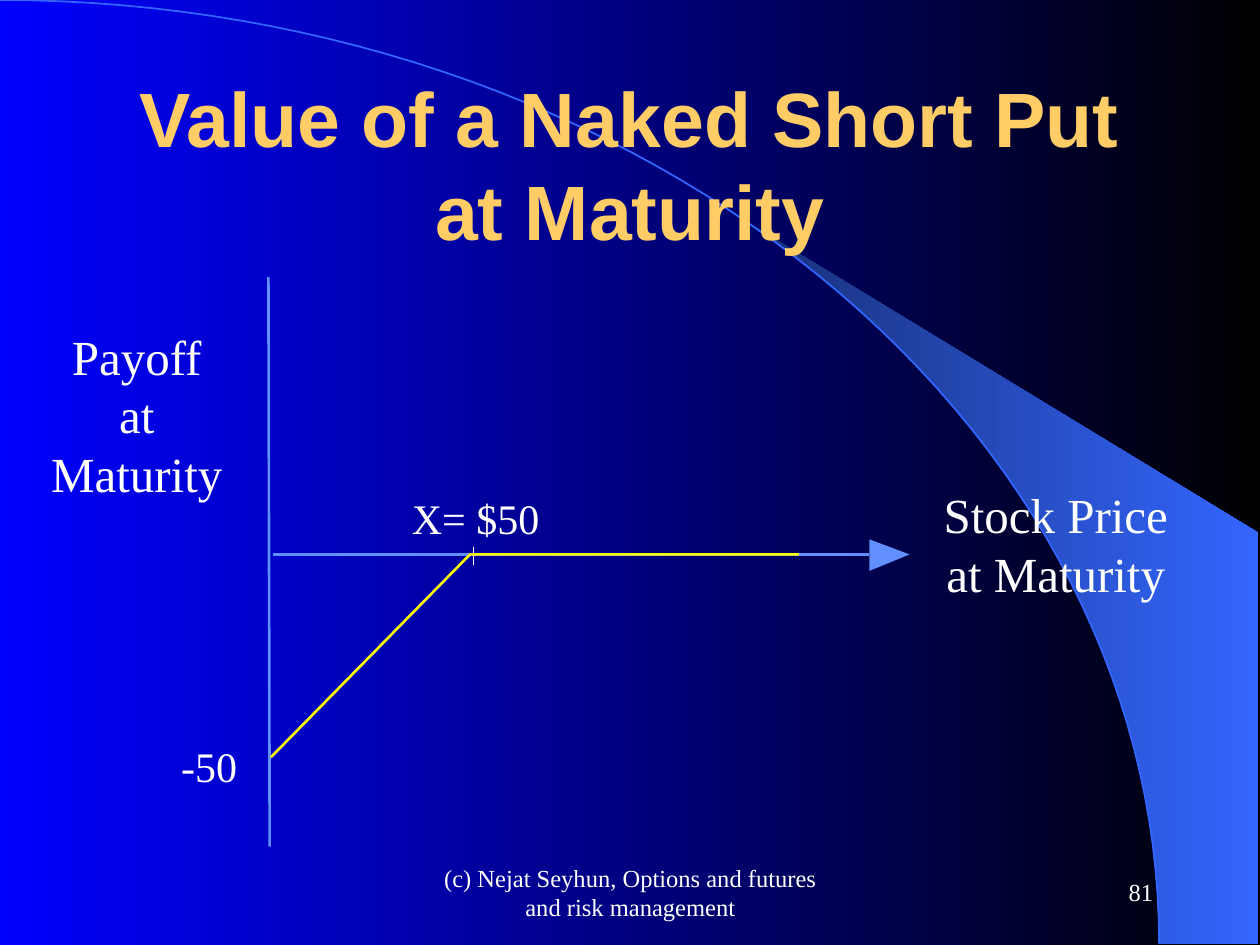
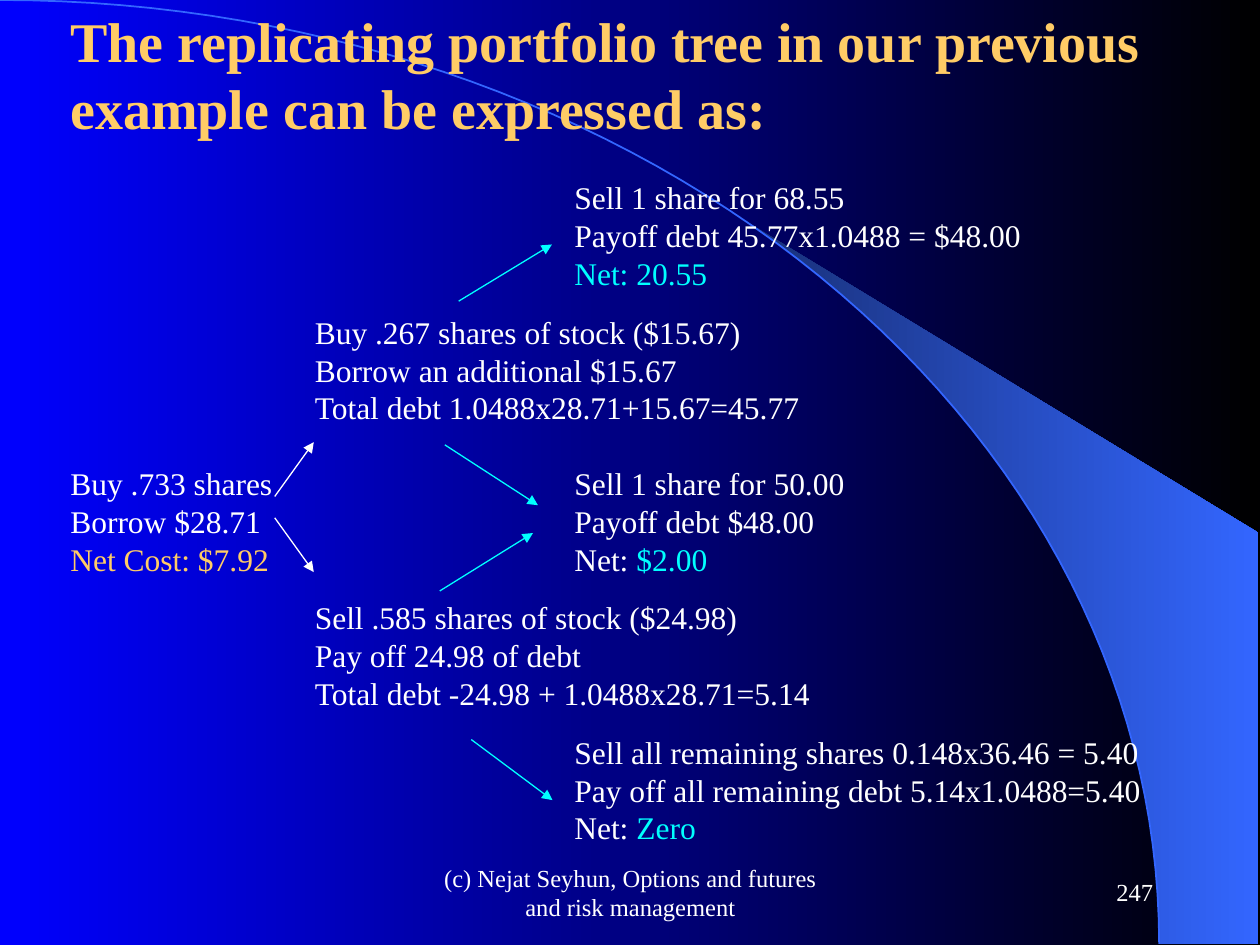
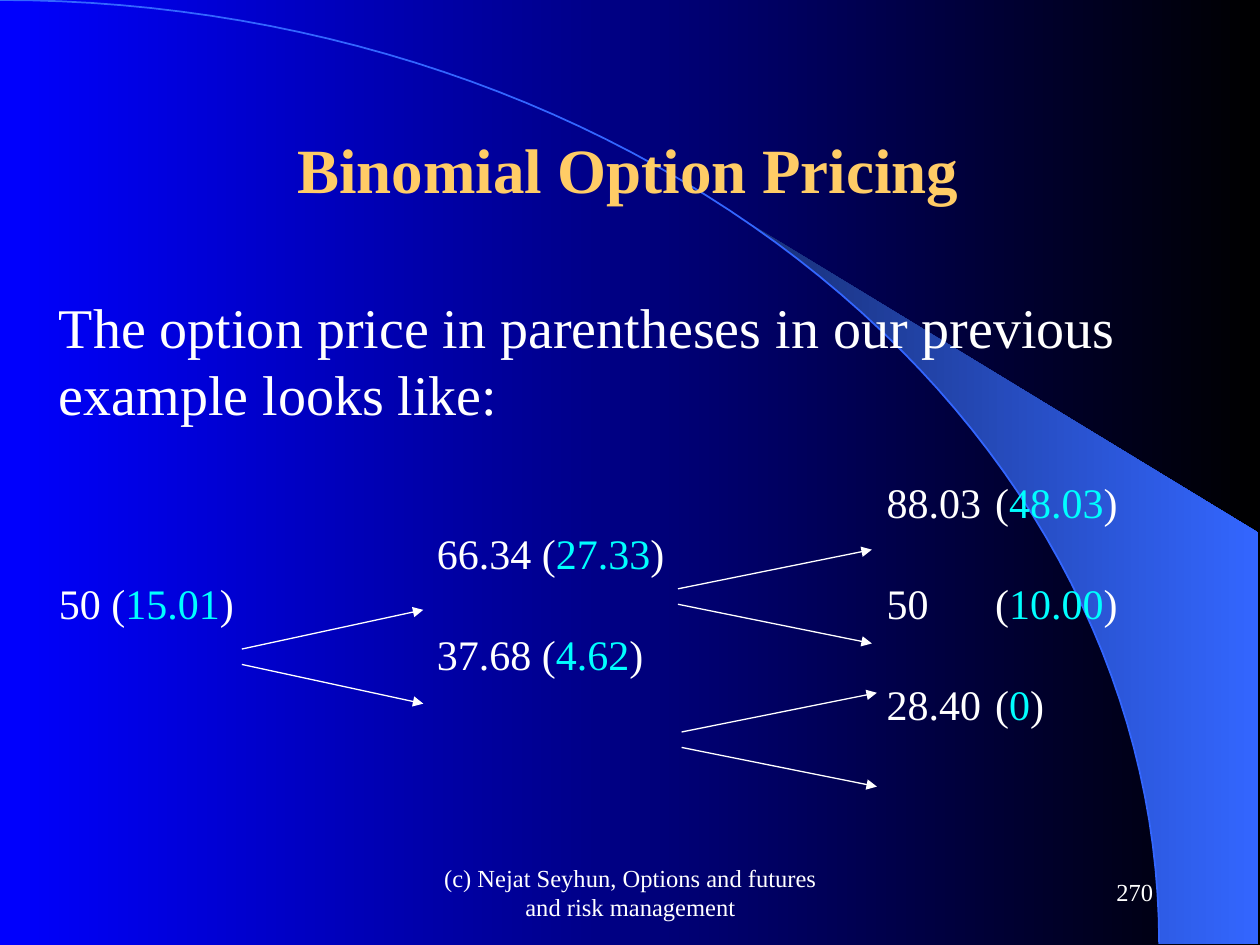
from math import asin, cos, degrees, radians, sin

from lxml.etree import SubElement
from pptx import Presentation
from pptx.dml.color import RGBColor
from pptx.enum.shapes import MSO_CONNECTOR as Connector
from pptx.enum.text import MSO_ANCHOR as Anchor, PP_ALIGN as Align
from pptx.oxml.ns import qn
from pptx.util import Pt

COLOURS = {
    "blue": "0000FF", "black": "000000", "navy": "182F76", "royal": "3366FF",
    "axis": "618FFD", "yellow": "FAFD00", "gold": "FFCC66", "cyan": "00FFFF",
    "white": "FFFFFF",
}
SERIF, SANS = "Times New Roman", "Arial"
WIDTH, HEIGHT = 720, 540
LINE_HEIGHT = 1.2
FOOTER = "(c) Nejat Seyhun, Options and futures and risk management"

CURVE_WIDTH, CURVE_HEIGHT = 662.4, 539.3
BAND_LEFT, BAND_RIGHT, BAND_TOP_RIGHT = 424.1, 719.3, 304.6

AXIS_LABELS = [
    ("X= $50", (228.2, 277.9, 87.1, 36), 24, False),
    ("Stock Price at Maturity", (523.4, 273.6, 159.8, 74.9), 28, True),
    (["Payoff at", "Maturity"], (20.9, 182.9, 114.5, 74.9), 28, True),
    ("-50", (93.5, 419.8, 52, 36), 24, False),
]
AXIS_LINES = [
    ((156.2, 316.8), (496.8, 316.8), "axis", 1.5),
    ((270.7, 312.5), (270.7, 322.6), "white", 0.75),
    ((154.1, 483.8), (153.4, 158.4), "axis", 1.5),
]
AXIS_TIP = [(496.8, 308.2), (519.8, 316.8), (496.8, 326.2)]
PAYOFF = [(154.8, 432.7), (268.6, 316.8), (456.5, 316.8)]

PORTFOLIO_TITLE = "The replicating portfolio tree in our previous example can be expressed as:"
PORTFOLIO_GROUPS = [
    (21.6, ["\t\tSell 1 share for 68.55",
            "\t\tPayoff debt 45.77x1.0488 = $48.00",
            [("\t\tNet: 20.55", "cyan")]]),
    (12, ["\tBuy .267 shares of stock ($15.67)",
          "\tBorrow an additional $15.67",
          "\tTotal debt 1.0488x28.71+15.67=45.77"]),
    (21.6, ["Buy .733 shares\t\tSell 1 share for 50.00",
            "Borrow $28.71\t\tPayoff debt $48.00",
            [("Net Cost: $7.92\t\t", "gold"), ("Net: ", "white"), ("$2.00", "cyan")]]),
    (12, ["\tSell .585 shares of stock ($24.98)",
          "\tPay off 24.98 of debt",
          "\tTotal debt -24.98 + 1.0488x28.71=5.14"]),
    (12, ["\t\tSell all remaining shares 0.148x36.46 = 5.40",
          "\t\tPay off all remaining debt 5.14x1.0488=5.40",
          [("\t\tNet: ", "white"), ("Zero", "cyan")]]),
]
PORTFOLIO_TABS = (139.7, 288)
PORTFOLIO_ARROWS = [
    ((262.1, 172.1), (315.4, 139.7)),
    ((251.3, 337.7), (304.6, 304.6)),
    ((254.2, 254.2), (307.4, 288.7)),
    ((269.3, 422.6), (315.7, 457.2)),
]

PRICING_INTRO = "The option price in parentheses in our previous example looks like:"
PRICING_ROWS = [
    [("\t\t88.03\t(", "white"), ("48.03", "cyan"), (")", "white")],
    [("\t66.34 (", "white"), ("27.33", "cyan"), (")", "white")],
    [("50 (", "white"), ("15.01", "cyan"), (")\t\t50\t(", "white"),
     ("10.00", "cyan"), (")", "white")],
    [("\t37.68 (", "white"), ("4.62", "cyan"), (")", "white")],
    [("\t\t28.40\t(", "white"), ("0", "cyan"), (")", "white")],
]
PRICING_TABS = (216, 473, 535)
PRICING_FORKS = [(138.2, 241.9, 375.3), (387.4, 498.2, 340.9), (389.5, 501.1, 422.7)]


def rgb(name):
    return RGBColor.from_string(COLOURS[name])


def fill_gradient(fill, *names):
    fill.gradient()
    fill.gradient_angle = 0
    for stop, name in zip(fill.gradient_stops, names):
        stop.color.rgb = rgb(name)


def add_paragraph(frame, text, size=18, colour="white", font=SERIF, bold=False,
                  align=Align.LEFT, before=0, tabs=()):
    first = frame.paragraphs[0]
    para = frame.add_paragraph() if first.runs else first
    if tabs:
        tab_list = SubElement(para._p.get_or_add_pPr(), qn("a:tabLst"))
        for stop in tabs:
            SubElement(tab_list, qn("a:tab"), pos=str(Pt(stop)), algn="l")
    para.alignment = align
    para.line_spacing = Pt(round(size * LINE_HEIGHT, 2))
    if before:
        para.space_before = Pt(before)
    for words, name in [(text, colour)] if isinstance(text, str) else text:
        span = para.add_run()
        span.text = words
        span.font.name = font
        span.font.size = Pt(size)
        span.font.bold = bold
        span.font.color.rgb = rgb(name)


def add_text(page, lines, place, wrap=True, anchor=Anchor.TOP, **style):
    frame = page.shapes.add_textbox(*map(Pt, place)).text_frame
    frame.word_wrap = wrap
    frame.vertical_anchor = anchor
    for line in [lines] if isinstance(lines, str) else lines:
        add_paragraph(frame, line, **style)
    return frame


def add_line(page, start, end, colour="white", width=0.75, arrow=False):
    line = page.shapes.add_connector(Connector.STRAIGHT, *map(Pt, start + end))
    line.line.color.rgb = rgb(colour)
    line.line.width = Pt(width)
    properties = line._element.spPr
    if arrow:
        SubElement(properties.find(qn("a:ln")), qn("a:tailEnd"), type="triangle")
    SubElement(properties, qn("a:effectLst"))


def add_fork(page, left, right, middle, half_gap, rise):
    for side in (-1, 1):
        start = middle + side * half_gap
        add_line(page, (left, start), (right, start + side * rise), arrow=True)


def add_outline(page, points, close=False, line=None, width=1):
    points = [(Pt(x), Pt(y)) for x, y in points]
    builder = page.shapes.build_freeform(*points[0], scale=1.0)
    builder.add_line_segments(points[1:], close=close)
    shape = builder.convert_to_shape()
    shape.shadow.inherit = False
    shape.fill.background()
    if line:
        shape.line.color.rgb = rgb(line)
        shape.line.width = Pt(width)
    else:
        shape.line.fill.background()
    return shape


def curve_points(left=0, steps=60):
    start = degrees(asin(left / CURVE_WIDTH))
    angles = [radians(start + (90 - start) * step / steps) for step in range(steps + 1)]
    return [(CURVE_WIDTH * sin(angle), CURVE_HEIGHT * (1 - cos(angle))) for angle in angles]


def add_page(deck, number):
    page = deck.slides.add_slide(deck.slide_layouts[6])
    fill_gradient(page.background.fill, "blue", "black")
    corners = [(BAND_RIGHT, CURVE_HEIGHT), (BAND_RIGHT, BAND_TOP_RIGHT)]
    band = add_outline(page, curve_points(BAND_LEFT) + corners, close=True)
    fill_gradient(band.fill, "navy", "royal")
    add_outline(page, curve_points(), line="royal")
    footer = dict(size=14, anchor=Anchor.MIDDLE)
    add_text(page, FOOTER, (246.2, 491.8, 228.2, 36), align=Align.CENTER, **footer)
    add_text(page, str(number), (516.2, 491.8, 149.8, 36), align=Align.RIGHT, **footer)
    return page


def build_short_put(deck):
    page = add_page(deck, 81)
    add_text(page, "Value of a Naked Short Put at Maturity", (54, 48.2, 612, 90),
             anchor=Anchor.MIDDLE, align=Align.CENTER, size=44, font=SANS,
             bold=True, colour="gold")
    for start, end, colour, width in AXIS_LINES:
        add_line(page, start, end, colour, width)
    tip = add_outline(page, AXIS_TIP, close=True)
    tip.fill.solid()
    tip.fill.fore_color.rgb = rgb("axis")
    add_outline(page, PAYOFF, line="yellow", width=1.5)
    for label, place, size, wrap in AXIS_LABELS:
        add_text(page, label, place, wrap=wrap, size=size, align=Align.CENTER)


def build_portfolio_tree(deck):
    page = add_page(deck, 247)
    frame = add_text(page, PORTFOLIO_TITLE, (33.1, 0, 668.2, 487.4),
                     size=32, bold=True, colour="gold")
    for gap, lines in PORTFOLIO_GROUPS:
        for index, line in enumerate(lines):
            add_paragraph(frame, line, before=0 if index else gap, tabs=PORTFOLIO_TABS)
    add_fork(page, 157, 179.3, 289.8, half_gap=6.1, rise=31)
    for start, end in PORTFOLIO_ARROWS:
        add_line(page, start, end, "cyan", arrow=True)


def build_option_pricing(deck):
    page = add_page(deck, 270)
    frame = add_text(page, PRICING_INTRO, (26.6, 163.4, 651.6, 285.8), size=32)
    for index, row in enumerate(PRICING_ROWS):
        add_paragraph(frame, row, size=24, before=0 if index else 28.8, tabs=PRICING_TABS)
    for left, right, middle in PRICING_FORKS:
        add_fork(page, left, right, middle, half_gap=4.4, rise=22.4)
    add_text(page, "Binomial Option Pricing", (162.7, 71.3, 392.4, 50.4), wrap=False,
             size=36, bold=True, colour="gold")


def main():
    deck = Presentation()
    deck.slide_width, deck.slide_height = Pt(WIDTH), Pt(HEIGHT)
    build_short_put(deck)
    build_portfolio_tree(deck)
    build_option_pricing(deck)
    deck.save("out.pptx")


if __name__ == "__main__":
    main()
